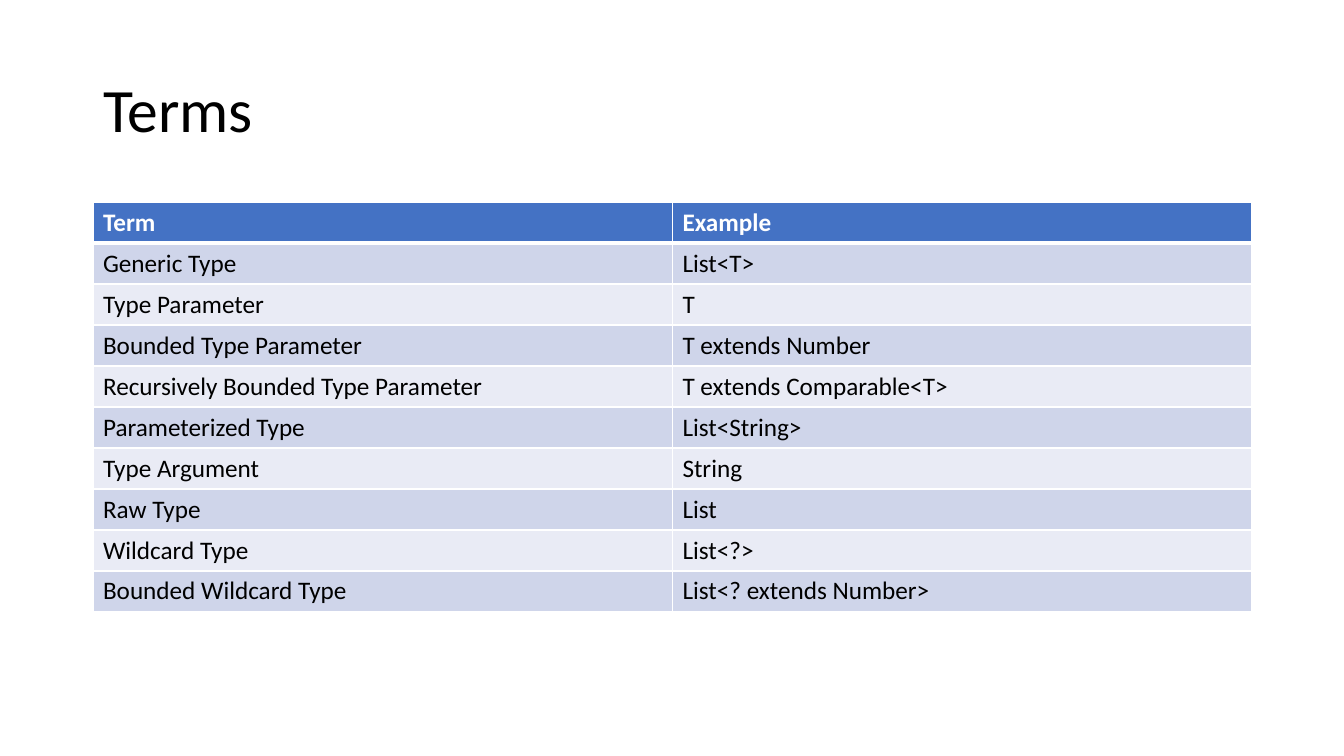
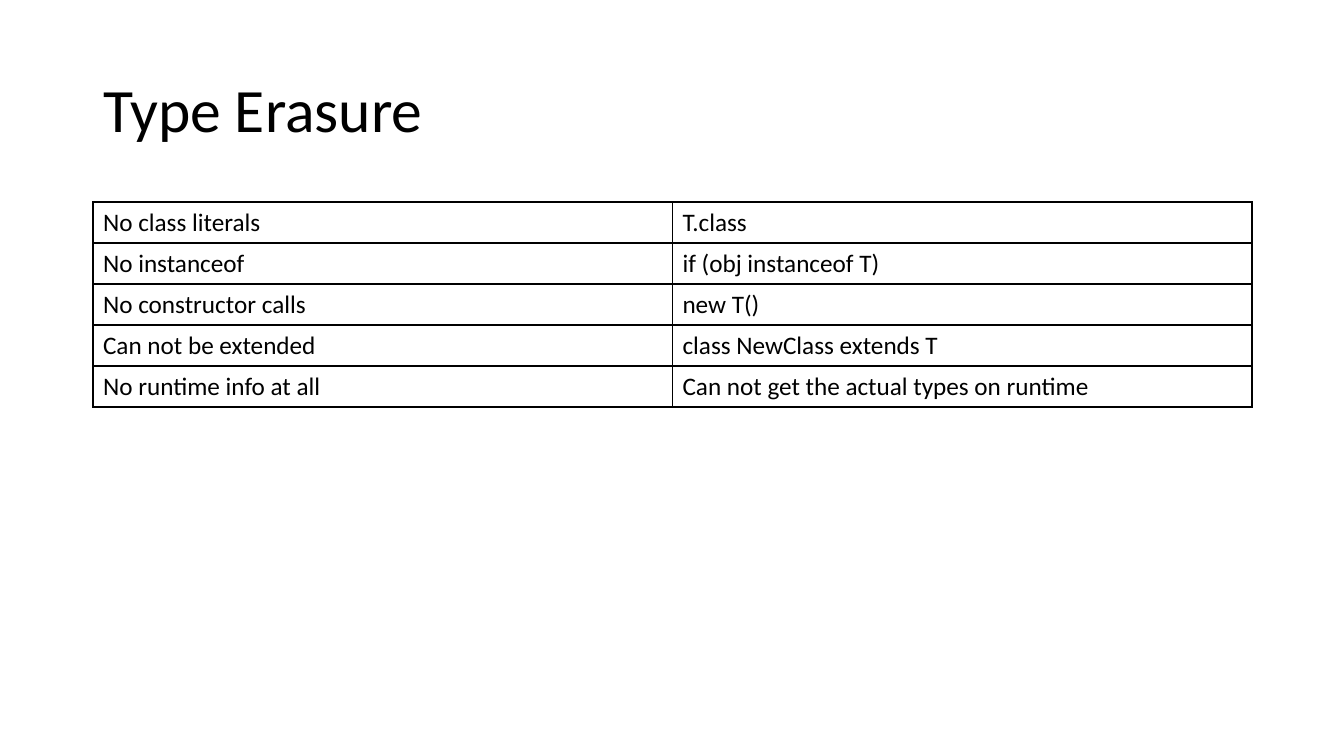
import dataclasses

import lxml.etree
import pptx
import pptx.dml.color
import pptx.enum.text
import pptx.oxml.ns
import pptx.util

PIXEL = 914400 / 100.8


@dataclasses.dataclass(frozen=True)
class Theme:
    """Colours, type and line widths that the slides share."""
    font: str = "Calibri"
    title_size: int = 44
    body_size: int = 18
    ink: str = "000000"
    paper: str = "FFFFFF"
    header: str = "4472C4"
    bands: tuple = ("CFD5EA", "E9EBF5")
    rule: int = 1
    header_rule: int = 3


@dataclasses.dataclass(frozen=True)
class Box:
    """A rectangle in pixels."""
    left: int
    top: int
    width: int
    height: int

    def emu(self):
        """Return left, top, width and height in EMU."""
        return [px(length) for length in dataclasses.astuple(self)]


THEME = Theme()
SLIDE = Box(0, 0, 1344, 756)
TITLE = Box(93, 40, 1159, 146)
TABLE_TOP = 202
ROW_HEIGHT = 41

TERMS = [
    ("Term", "Example"),
    ("Generic Type", "List<T>"),
    ("Type Parameter", "T"),
    ("Bounded Type Parameter", "T extends Number"),
    ("Recursively Bounded Type Parameter", "T extends Comparable<T>"),
    ("Parameterized Type", "List<String>"),
    ("Type Argument", "String"),
    ("Raw Type", "List"),
    ("Wildcard Type", "List<?>"),
    ("Bounded Wildcard Type", "List<? extends Number>"),
]
ERASURE = [
    ("No class literals", "T.class"),
    ("No instanceof", "if (obj instanceof T)"),
    ("No constructor calls", "new T()"),
    ("Can not be extended", "class NewClass extends T"),
    ("No runtime info at all", "Can not get the actual types on runtime"),
]


def px(length):
    """Turn pixels into EMU."""
    return pptx.util.Emu(round(length * PIXEL))


def rgb(colour):
    """Turn a hex string into a colour."""
    return pptx.dml.color.RGBColor.from_string(colour)


def write(frame, text, size=THEME.body_size, colour=THEME.ink, bold=False, spacing=1.0):
    """Put one left-aligned, formatted paragraph into a text frame."""
    para = frame.paragraphs[0]
    para.alignment = pptx.enum.text.PP_ALIGN.LEFT
    para.line_spacing = spacing
    span = para.add_run()
    span.text = text
    span.font.name = THEME.font
    span.font.size = pptx.util.Pt(size)
    span.font.bold = bold
    span.font.color.rgb = rgb(colour)


def set_borders(cell, colour, widths):
    """Draw the left, right, top and bottom borders of a cell."""
    properties = cell._tc.get_or_add_tcPr()
    qn = pptx.oxml.ns.qn
    for index, (side, width) in enumerate(zip("LRTB", widths)):
        line = lxml.etree.Element(qn(f"a:ln{side}"), w=str(pptx.util.Pt(width)))
        fill = lxml.etree.SubElement(line, qn("a:solidFill"))
        lxml.etree.SubElement(fill, qn("a:srgbClr"), val=colour)
        properties.insert(index, line)


def place_title(page, box, text):
    """Place and format the title placeholder."""
    title = page.shapes.title
    title.left, title.top, title.width, title.height = box.emu()
    frame = title.text_frame
    frame.word_wrap = True
    frame.auto_size = pptx.enum.text.MSO_AUTO_SIZE.NONE
    frame.vertical_anchor = pptx.enum.text.MSO_ANCHOR.MIDDLE
    write(frame, text, size=THEME.title_size, spacing=0.9)


def place_table(page, box, rows, banded):
    """Place a table, either banded under a header or as a plain grid."""
    table = page.shapes.add_table(len(rows), len(rows[0]), *box.emu()).table
    table.first_row = table.horz_banding = False
    for column in table.columns:
        column.width = px(box.width / len(rows[0]))
    for index, texts in enumerate(rows):
        table.rows[index].height = px(box.height / len(rows))
        header = banded and index == 0
        fill, line = THEME.paper, THEME.ink
        if banded:
            fill = THEME.header if header else THEME.bands[(index - 1) % 2]
            line = THEME.paper
        top = THEME.header_rule if banded and index == 1 else THEME.rule
        bottom = THEME.header_rule if header else THEME.rule
        for cell, text in zip(table.rows[index].cells, texts):
            cell.fill.solid()
            cell.fill.fore_color.rgb = rgb(fill)
            set_borders(cell, line, (THEME.rule, THEME.rule, top, bottom))
            write(cell.text_frame, text, bold=header,
                  colour=THEME.paper if header else THEME.ink)


def add_table_page(deck, title, rows, banded):
    """Add a slide with a title above a table."""
    page = deck.slides.add_slide(deck.slide_layouts.get_by_name("Title Only"))
    place_title(page, TITLE, title)
    box = Box(TITLE.left, TABLE_TOP, TITLE.width, ROW_HEIGHT * len(rows))
    place_table(page, box, rows, banded)


def main():
    """Build and save the deck."""
    deck = pptx.Presentation()
    deck.slide_width, deck.slide_height = SLIDE.emu()[2:]
    add_table_page(deck, "Terms", TERMS, banded=True)
    add_table_page(deck, "Type Erasure", ERASURE, banded=False)
    deck.save("out.pptx")


main()
